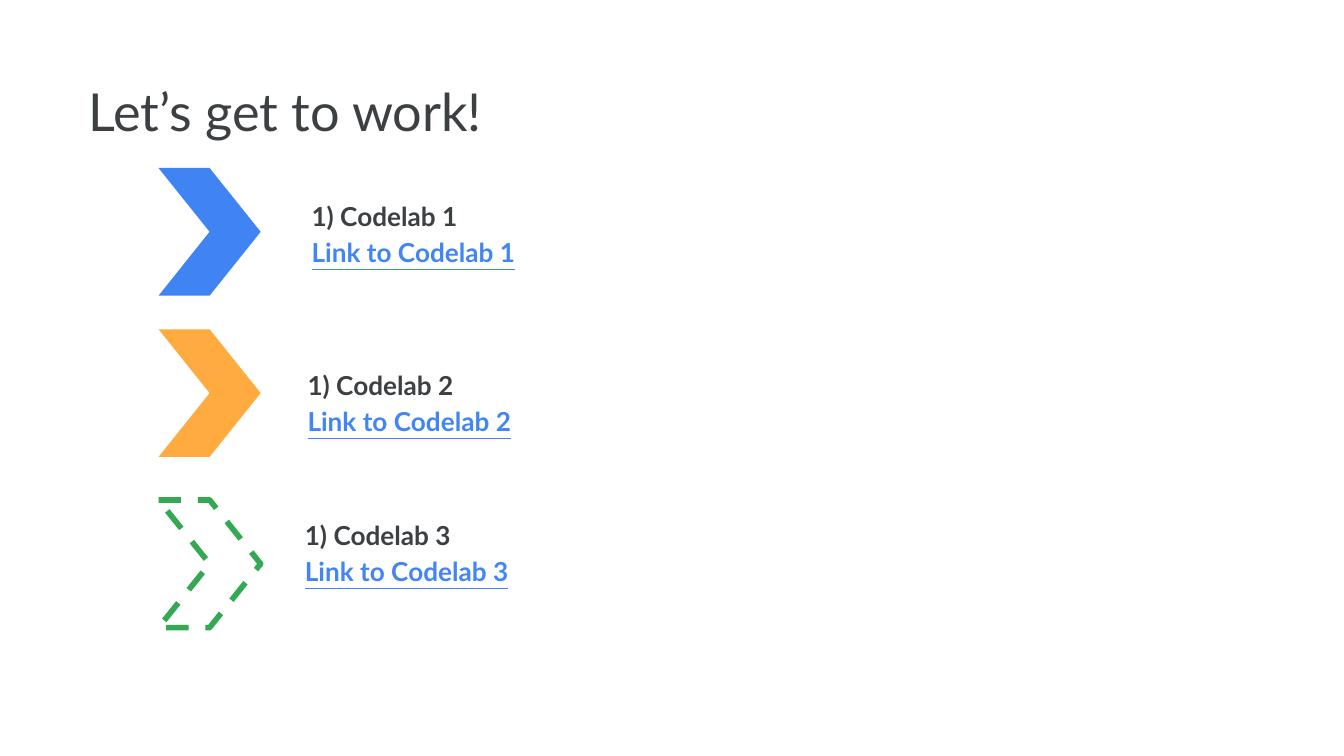
from dataclasses import dataclass
from typing import Optional

from pptx import Presentation
from pptx.dml.color import RGBColor
from pptx.enum.dml import MSO_LINE
from pptx.enum.shapes import MSO_SHAPE
from pptx.enum.text import MSO_ANCHOR, PP_ALIGN
from pptx.util import Inches, Pt


@dataclass(frozen=True)
class Theme:
    font: str = "Lato"
    text: str = "3C4043"
    link: str = "4285F4"
    blue: str = "4084F3"
    orange: str = "FFAB40"
    green: str = "34A853"
    title_size: int = 28
    body_size: int = 14
    outline_width: int = 3


@dataclass(frozen=True)
class Codelab:
    number: int
    chevron_top: float
    text_left: float
    text_top: float
    fill: Optional[str] = None
    outline: Optional[str] = None
    anchor: MSO_ANCHOR = MSO_ANCHOR.MIDDLE


THEME = Theme()
SLIDE_WIDTH = Inches(10)
SLIDE_HEIGHT = SLIDE_WIDTH * 9 // 16
CHEVRON_LEFT, CHEVRON_WIDTH = 1.18, 0.76
TEXT_WIDTH, ROW_HEIGHT = 6.26, 0.95

CODELABS = [
    Codelab(1, 1.25, 2.22, 1.25, fill=THEME.blue),
    Codelab(2, 2.45, 2.19, 2.51, fill=THEME.orange),
    Codelab(3, 3.72, 2.17, 3.73, outline=THEME.green, anchor=MSO_ANCHOR.TOP),
]


def prepare_frame(frame, anchor: MSO_ANCHOR) -> None:
    frame.word_wrap = True
    frame.vertical_anchor = anchor
    frame.margin_left = frame.margin_right = Inches(0.1)
    frame.margin_top = frame.margin_bottom = Inches(0.1)


def write(para, text: str, *, size: int = THEME.body_size, color: str = THEME.text,
          bold: bool = False, underline: bool = False, spacing: float = 1.15) -> None:
    para.alignment = PP_ALIGN.LEFT
    para.line_spacing = spacing
    para.space_before = para.space_after = Pt(0)
    span = para.add_run()
    span.text = text
    span.font.name = THEME.font
    span.font.size = Pt(size)
    span.font.bold = bold
    span.font.underline = underline
    span.font.color.rgb = RGBColor.from_string(color)


def draw_title(page, text: str) -> None:
    title = page.shapes.title
    title.left, title.top = Inches(0.56), Inches(0.54)
    title.width, title.height = Inches(9.23), Inches(0.59)
    prepare_frame(title.text_frame, MSO_ANCHOR.TOP)
    write(title.text_frame.paragraphs[0], text, size=THEME.title_size, spacing=0.9)


def draw_chevron(page, lab: Codelab) -> None:
    chevron = page.shapes.add_shape(
        MSO_SHAPE.CHEVRON, Inches(CHEVRON_LEFT), Inches(lab.chevron_top),
        Inches(CHEVRON_WIDTH), Inches(ROW_HEIGHT))
    chevron.shadow.inherit = False
    chevron.adjustments[0] = 0.5
    if lab.fill:
        chevron.fill.solid()
        chevron.fill.fore_color.rgb = RGBColor.from_string(lab.fill)
    else:
        chevron.fill.background()
    if lab.outline:
        chevron.line.color.rgb = RGBColor.from_string(lab.outline)
        chevron.line.width = Pt(THEME.outline_width)
        chevron.line.dash_style = MSO_LINE.DASH
    else:
        chevron.line.fill.background()


def draw_label(page, lab: Codelab) -> None:
    box = page.shapes.add_textbox(Inches(lab.text_left), Inches(lab.text_top),
                                  Inches(TEXT_WIDTH), Inches(ROW_HEIGHT))
    frame = box.text_frame
    prepare_frame(frame, lab.anchor)
    write(frame.paragraphs[0], f"1) Codelab {lab.number}", bold=True)
    write(frame.add_paragraph(), f"Link to Codelab {lab.number}",
          color=THEME.link, bold=True, underline=True)


def main() -> None:
    deck = Presentation()
    deck.slide_width, deck.slide_height = SLIDE_WIDTH, SLIDE_HEIGHT
    page = deck.slides.add_slide(deck.slide_layouts[5])  # title only

    # Heading
    draw_title(page, "Let’s get to work!")

    # One chevron and label for each codelab
    for lab in CODELABS:
        draw_chevron(page, lab)
        draw_label(page, lab)

    deck.save("out.pptx")


if __name__ == "__main__":
    main()
